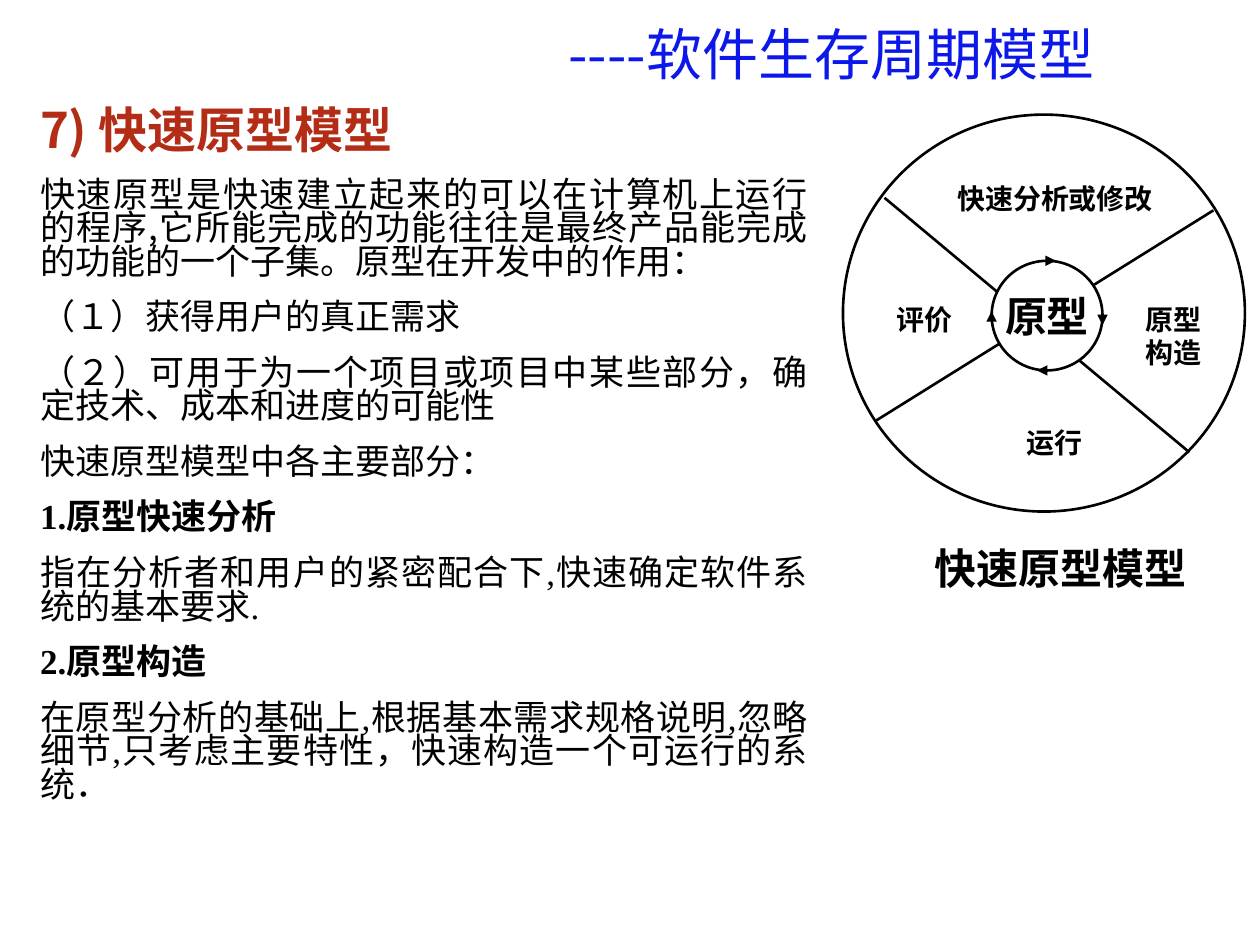
from dataclasses import dataclass

from lxml import etree
from pptx import Presentation
from pptx.dml.color import RGBColor
from pptx.enum.shapes import MSO_CONNECTOR, MSO_SHAPE
from pptx.enum.text import MSO_ANCHOR, MSO_AUTO_SIZE, PP_ALIGN
from pptx.oxml.ns import qn
from pptx.util import Inches, Pt

BLACK = RGBColor(0x00, 0x00, 0x00)
WHITE = RGBColor(0xFF, 0xFF, 0xFF)
BLUE = RGBColor(0x0C, 0x17, 0xEA)
RED = RGBColor(0xB3, 0x2C, 0x16)
SANS_JP = "Noto Sans CJK JP"
SANS_SC = "Noto Sans CJK SC"
SERIF = "Times New Roman"
LEFT, CENTER, JUSTIFY = PP_ALIGN.LEFT, PP_ALIGN.CENTER, PP_ALIGN.JUSTIFY
MIDDLE = MSO_ANCHOR.MIDDLE
GROW = MSO_AUTO_SIZE.SHAPE_TO_FIT_TEXT
OVAL = MSO_SHAPE.OVAL
STRAIGHT = MSO_CONNECTOR.STRAIGHT
LINE_WIDTH = Pt(1.5)


@dataclass
class Label:
    """A text box: its place and its lines."""
    left: float
    top: float
    width: float
    height: float
    lines: tuple[str, ...]


@dataclass
class Stroke:
    """A straight line, with or without an arrowhead."""
    x1: float
    y1: float
    x2: float
    y2: float
    arrow: bool = False


TITLE = Label(3.36, 0, 6.48, 0.74, ("----软件生存周期模型",))
CAPTION = Label(7.32, 4.26, 3.07, 0.5, ("快速原型模型",))
HEADING = "7) 快速原型模型"

# Body paragraphs: text, font, bold
BODY = (
    ("快速原型是快速建立起来的可以在计算机上运行的程序,它所能完成的功能往往是"
     "最终产品能完成的功能的一个子集。原型在开发中的作用：", SANS_SC, False),
    ("（１）获得用户的真正需求", SANS_SC, False),
    ("（２）可用于为一个项目或项目中某些部分，确定技术、成本和进度的可能性", SANS_SC, False),
    ("快速原型模型中各主要部分：", SANS_SC, False),
    ("1.原型快速分析", SERIF, True),
    ("指在分析者和用户的紧密配合下,快速确定软件系统的基本要求.", SERIF, False),
    ("2.原型构造", SERIF, True),
    ("在原型分析的基础上,根据基本需求规格说明,忽略细节,只考虑主要特性，"
     "快速构造一个可运行的系统．", SERIF, False),
)

SECTORS = (
    Label(7.5, 1.39, 1.75, 0.37, ("快速分析或修改",)),
    Label(7.02, 2.35, 0.64, 0.37, ("评价",)),
    Label(8.05, 3.33, 0.64, 0.37, ("运行",)),
    Label(8.99, 2.35, 0.64, 0.64, ("原型", "构造")),
)
DIVIDERS = (Stroke(7.02, 1.57, 9.44, 3.59), Stroke(9.63, 1.67, 6.95, 3.34))
CYCLE_ARROWS = (
    Stroke(8.31, 2.07, 8.38, 2.07, True),
    Stroke(8.75, 2.51, 8.75, 2.58, True),
    Stroke(7.87, 2.54, 7.87, 2.47, True),
    Stroke(8.31, 2.94, 8.23, 2.94, True),
)


def write(frame, text: str, *, size: float, font: str = SERIF, east: str = SANS_SC,
          color: RGBColor = BLACK, bold: bool = False, align=LEFT,
          spacing: float = 1.0, before: float = 0) -> None:
    """Put text into the empty first paragraph, or into a new one."""
    first = frame.paragraphs[0]
    paragraph = frame.add_paragraph() if first.runs else first
    paragraph.alignment = align
    paragraph.line_spacing = spacing
    paragraph.space_before = Pt(before)
    run = paragraph.add_run()
    run.text = text
    run.font.size = Pt(size)
    run.font.bold = bold
    run.font.name = font
    run.font.color.rgb = color
    etree.SubElement(run.font._element, qn("a:ea"), typeface=east)


def add_frame(slide, left: float, top: float, width: float, height: float,
              wrap: bool = True):
    box = slide.shapes.add_textbox(Inches(left), Inches(top), Inches(width), Inches(height))
    box.text_frame.word_wrap = wrap
    box.text_frame.auto_size = GROW
    return box.text_frame


def add_label(slide, label: Label, *, wrap: bool = True, **text_format) -> None:
    frame = add_frame(slide, label.left, label.top, label.width, label.height, wrap)
    for line in label.lines:
        write(frame, line, **text_format)


def add_ring(slide, left: float, top: float, width: float, height: float):
    ring = slide.shapes.add_shape(OVAL, Inches(left), Inches(top), Inches(width), Inches(height))
    ring.shadow.inherit = False
    ring.fill.solid()
    ring.fill.fore_color.rgb = WHITE
    ring.line.color.rgb = BLACK
    ring.line.width = LINE_WIDTH
    return ring.text_frame


def add_stroke(slide, stroke: Stroke) -> None:
    connector = slide.shapes.add_connector(
        STRAIGHT, Inches(stroke.x1), Inches(stroke.y1), Inches(stroke.x2), Inches(stroke.y2))
    connector.line.color.rgb = BLACK
    connector.line.width = LINE_WIDTH
    if stroke.arrow:
        etree.SubElement(connector.line._get_or_add_ln(), qn("a:tailEnd"), type="triangle")
    etree.SubElement(connector._element.spPr, qn("a:effectLst"))


def main() -> None:
    prs = Presentation()
    prs.slide_width, prs.slide_height = Inches(10), Inches(7.5)
    slide = prs.slides.add_slide(prs.slide_layouts[6])

    # Title
    add_label(slide, TITLE, size=32, font=SANS_JP, east=SANS_JP, color=BLUE,
              align=CENTER, spacing=1.2, before=20)

    # Heading and body
    body = add_frame(slide, 0.22, 0.74, 6.29, 5.7)
    write(body, HEADING, size=28, font=SANS_SC, color=RED, bold=True, before=15)
    for text, font, bold in BODY:
        write(body, text, size=20, font=font, bold=bold, align=JUSTIFY,
              spacing=0.8, before=12.5)

    # Wheel with its four sectors
    add_ring(slide, 6.69, 0.91, 3.19, 3.15)
    for sector in SECTORS:
        add_label(slide, sector, wrap=False, size=16, bold=True)
    for divider in DIVIDERS:
        add_stroke(slide, divider)

    # Hub and the arrows around it
    hub = add_ring(slide, 7.87, 2.07, 0.88, 0.87)
    hub.word_wrap = False
    hub.vertical_anchor = MIDDLE
    write(hub, "原型", size=24, bold=True, align=CENTER)
    for arrow in CYCLE_ARROWS:
        add_stroke(slide, arrow)

    # Caption
    add_label(slide, CAPTION, size=24, bold=True, before=15)

    prs.save("out.pptx")


if __name__ == "__main__":
    main()
